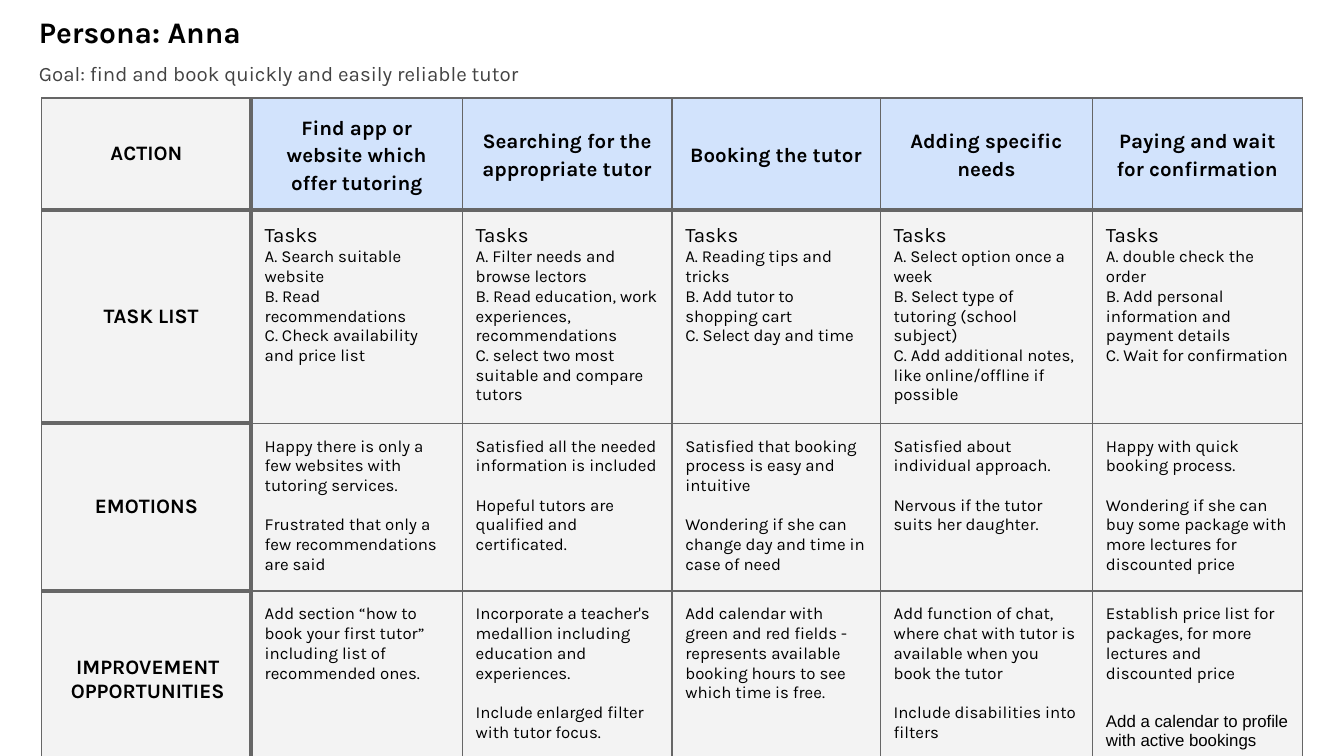
from lxml import etree
from pptx import Presentation
from pptx import util as u
from pptx.dml.color import RGBColor
from pptx.enum import text
from pptx.oxml import ns

BLACK = RGBColor(0x00, 0x00, 0x00)
DARK = RGBColor(0x43, 0x43, 0x43)
LINE = RGBColor(0x66, 0x66, 0x66)
GREY = RGBColor(0xF3, 0xF3, 0xF3)
BLUE = RGBColor(0xD2, 0xE3, 0xFC)

TITLE = "Persona: Anna"
GOAL = "Goal: find and book quickly and easily reliable tutor"
LABELS = ["ACTION", "TASK LIST", "EMOTIONS", "IMPROVEMENT OPPORTUNITIES"]
STEPS = [
    {
        "action": "Find app or website which offer tutoring",
        "tasks": ["A. Search suitable website", "B. Read recommendations",
                  "C. Check availability and price list"],
        "emotions": ["Happy there is only a few websites with tutoring services.",
                     "Frustrated that only a few recommendations are said"],
        "ideas": ["Add section “how to book your first tutor” including list of "
                  "recommended ones."],
    },
    {
        "action": "Searching for the appropriate tutor",
        "tasks": ["A. Filter needs and browse lectors",
                  "B. Read education, work experiences, recommendations",
                  "C. select two most suitable and compare tutors"],
        "emotions": ["Satisfied all the needed information is included",
                     "Hopeful tutors are qualified and certificated."],
        "ideas": ["Incorporate a teacher's medallion including education and experiences.",
                  "Include enlarged filter with tutor focus."],
    },
    {
        "action": "Booking the tutor",
        "tasks": ["A. Reading tips and tricks", "B. Add tutor to shopping cart",
                  "C. Select day and time"],
        "emotions": ["Satisfied that booking process is easy and intuitive",
                     "Wondering if she can change day and time in case of need"],
        "ideas": ["Add calendar with green and red fields - represents available "
                  "booking hours to see which time is free."],
    },
    {
        "action": "Adding specific needs",
        "tasks": ["A. Select option once a week",
                  "B. Select type of tutoring (school subject)",
                  "C. Add additional notes, like online/offline if possible"],
        "emotions": ["Satisfied about individual approach.",
                     "Nervous if the tutor suits her daughter."],
        "ideas": ["Add function of chat, where chat with tutor is available when you "
                  "book the tutor",
                  "Include disabilities into filters"],
    },
    {
        "action": "Paying and wait for confirmation",
        "tasks": ["A. double check the order",
                  "B. Add personal information and payment details",
                  "C. Wait for confirmation"],
        "emotions": ["Happy with quick booking process.",
                     "Wondering if she can buy some package with more lectures for "
                     "discounted price"],
        "ideas": ["Establish price list for packages, for more lectures and "
                  "discounted price",
                  "Add a calendar to profile with active bookings"],
    },
]
COLS = [1.56, 1.57, 1.56, 1.55, 1.58, 1.56]
ROWS = [0.82, 1.55, 1.22, 1.3]
FRAME = (0.31, 0.73, 3.28, 3.28)
THIN, THICK = 0.75, 2.25
PAD = u.Inches(0.1)
MARGINS = {"margin_left": PAD, "margin_right": PAD,
           "margin_top": PAD, "margin_bottom": PAD}

HEAD = {"size": u.Pt(11), "bold": True}
TASK_HEAD = {"size": u.Pt(11)}
BODY = {"size": u.Pt(9)}
CENTER = {"alignment": text.PP_ALIGN.CENTER}
HEAD_PARA = {**CENTER, "line_spacing": 1.15}
GAP = {"space_before": u.Pt(10.5)}
WIDE_GAP = {"space_before": u.Pt(15.5)}


def apply(obj, values):
    for name, value in values.items():
        setattr(obj, name, value)


def write(tf, paras, color=BLACK):
    for i, (content, font, layout) in enumerate(paras):
        p = tf.paragraphs[0] if i == 0 else tf.add_paragraph()
        apply(p, layout)
        r = p.add_run()
        r.text = content
        apply(r.font, {"name": "Karla", "bold": False, **font})
        r.font.color.rgb = color


def add_text(s, box, content, font, color):
    tf = s.shapes.add_textbox(*map(u.Inches, box)).text_frame
    apply(tf, {"word_wrap": True, **MARGINS})
    write(tf, [(content, font, {})], color)


def set_borders(cell, row, col):
    last = len(ROWS) - 1
    widths = {
        "lnL": THICK if col == 1 else THIN,
        "lnR": THICK if col == 0 else THIN,
        "lnT": THICK if row == 1 or (col == 0 and row > 0) else THIN,
        "lnB": THICK if row == 0 or (col == 0 and row < last) else THIN,
    }
    tc_pr = cell._tc.get_or_add_tcPr()
    for tag, width in widths.items():
        ln = etree.SubElement(tc_pr, ns.qn("a:" + tag), w=str(u.Pt(width)))
        fill = etree.SubElement(ln, ns.qn("a:solidFill"))
        etree.SubElement(fill, ns.qn("a:srgbClr"), val=str(LINE))


def spaced(items):
    return [(t, BODY, GAP if i else {}) for i, t in enumerate(items)]


def step_cells(step):
    tasks = [("Tasks", TASK_HEAD, {})] + [(t, BODY, {}) for t in step["tasks"]]
    return [[(step["action"], HEAD, HEAD_PARA)], tasks,
            spaced(step["emotions"]), spaced(step["ideas"])]


def main():
    prs = Presentation()
    prs.slide_width = u.Inches(10)
    prs.slide_height = prs.slide_width * 9 // 16
    s = prs.slides.add_slide(prs.slide_layouts[6])
    add_text(s, (0.19, 0, 1.95, 0.44), TITLE, {"size": u.Pt(16), "bold": True}, BLACK)
    add_text(s, (0.19, 0.36, 9.28, 0.3), GOAL, {"size": u.Pt(11)}, DARK)

    grid = [[[(label, HEAD, CENTER)] for label in LABELS]]
    grid += [step_cells(step) for step in STEPS]
    content, font, _ = grid[-1][-1][-1]
    grid[-1][-1][-1] = (content, {**font, "name": "Arial"}, WIDE_GAP)

    frame = s.shapes.add_table(len(ROWS), len(COLS), *map(u.Inches, FRAME))
    table = frame.table
    apply(table, {"first_row": False, "horz_banding": False})
    for column, width in zip(table.columns, COLS):
        column.width = u.Inches(width)
    for line, height in zip(table.rows, ROWS):
        line.height = u.Inches(height)
    apply(frame, {"width": u.Inches(FRAME[2]), "height": u.Inches(FRAME[3])})

    for col, cells in enumerate(grid):
        for row, paras in enumerate(cells):
            cell = table.cell(row, col)
            apply(cell, MARGINS)
            if row == 0 or col == 0:
                cell.vertical_anchor = text.MSO_ANCHOR.MIDDLE
            set_borders(cell, row, col)
            cell.fill.solid()
            cell.fill.fore_color.rgb = BLUE if row == 0 and col > 0 else GREY
            write(cell.text_frame, paras)

    p_pr = table.cell(1, 0).text_frame.paragraphs[0]._p.get_or_add_pPr()
    p_pr.set("marL", str(u.Inches(0.19)))
    p_pr.set("indent", str(u.Inches(-0.12)))
    table.cell(3, 0).margin_left = u.Inches(0.12)
    prs.save("out.pptx")


if __name__ == "__main__":
    main()
